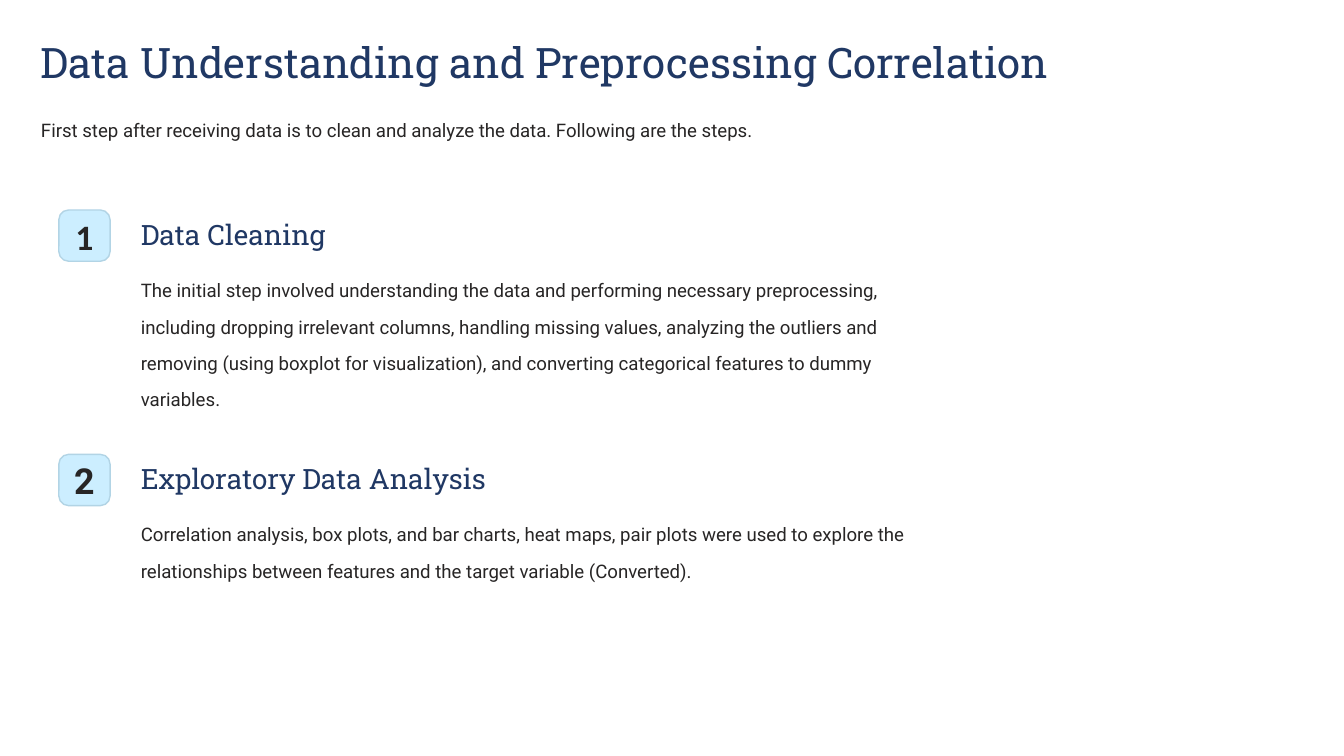
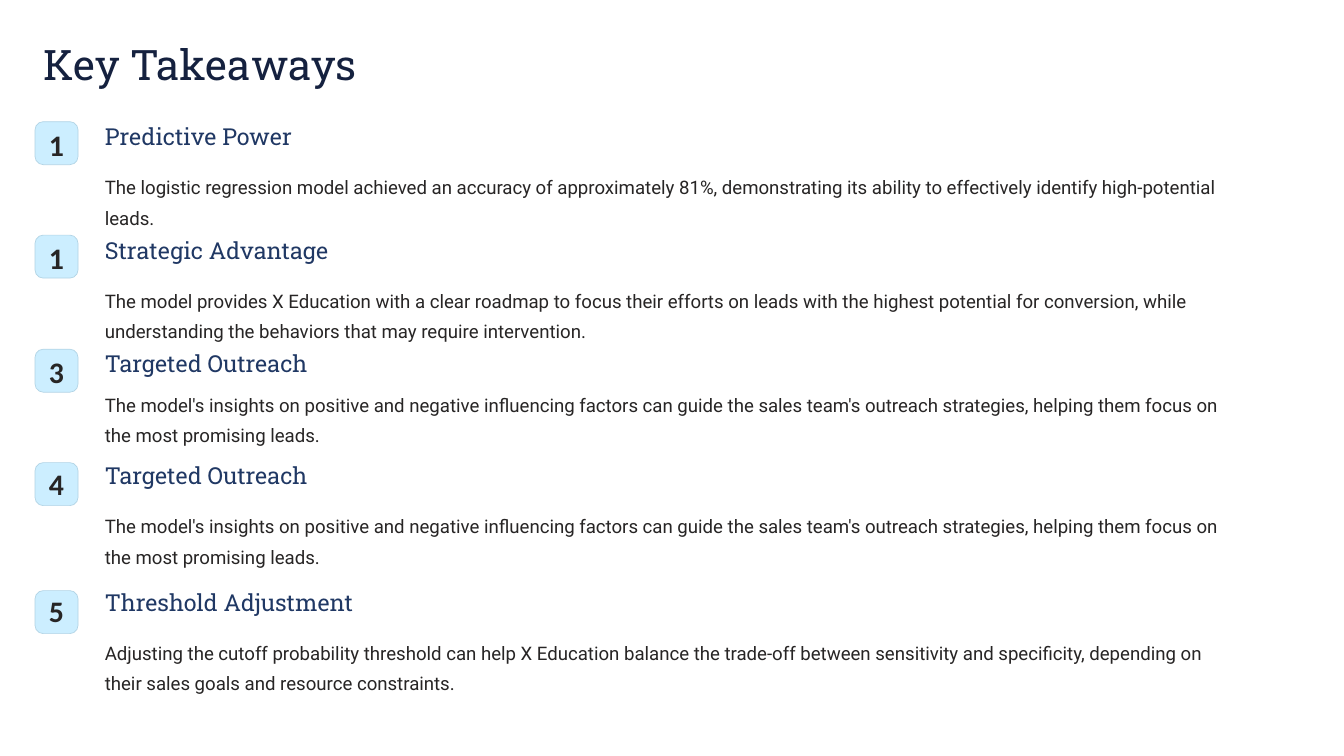
import pptx
import pptx.util
import pptx.dml.color
import pptx.enum.shapes
import pptx.enum.text
from dataclasses import dataclass

Cm, Pt = pptx.util.Cm, pptx.util.Pt
ALIGN = pptx.enum.text.PP_ALIGN


# Theme
@dataclass(frozen=True)
class Theme:
    navy: str = "203864"
    dark: str = "15213F"
    ink: str = "272525"
    pale: str = "CCEEFF"
    edge: str = "B2D4E5"
    slab: str = "Roboto Slab"
    sans: str = "Roboto"
    digit: str = "Calibri"
    title: float = 36
    body: float = 16


LOOK = Theme()

# Content: step rows are (number, number font, heading, text) and
# (badge top, number top, heading top, text top, text height) in cm
CLEAN = [
    ("1", LOOK.digit, "Data Cleaning",
     "The initial step involved understanding the data and performing necessary "
     "preprocessing, including dropping irrelevant columns, handling missing values, "
     "analyzing the outliers and removing (using boxplot for visualization), and "
     "converting categorical features to dummy variables.",
     (6.35, 6.58, 6.35, 7.9, 4.39)),
    ("2", LOOK.sans, "Exploratory Data Analysis",
     "Correlation analysis, box plots, and bar charts, heat maps, pair plots were used "
     "to explore the relationships between features and the target variable (Converted).",
     (13.74, 13.97, 13.73, 15.28, 3.3)),
]
REACH = ("The model's insights on positive and negative influencing factors can guide "
         "the sales team's outreach strategies, helping them focus on the most "
         "promising leads.")
POINTS = [
    ("1", LOOK.digit, "Predictive Power",
     "The logistic regression model achieved an accuracy of approximately 81%, "
     "demonstrating its ability to effectively identify high-potential leads.",
     (3.68, 3.89, 3.68, 4.97, 1.83)),
    ("1", LOOK.digit, "Strategic Advantage",
     "The model provides X Education with a clear roadmap to focus their efforts on "
     "leads with the highest potential for conversion, while understanding the "
     "behaviors that may require intervention.",
     (7.11, 7.32, 7.11, 8.41, 1.83)),
    ("3", LOOK.digit, "Targeted Outreach", REACH, (10.56, 10.74, 10.55, 11.55, 2.74)),
    ("4", LOOK.digit, "Targeted Outreach", REACH, (13.99, 14.13, 13.94, 15.22, 2.74)),
    ("5", LOOK.digit, "Threshold Adjustment",
     "Adjusting the cutoff probability threshold can help X Education balance the "
     "trade-off between sensitivity and specificity, depending on their sales goals "
     "and resource constraints.",
     (17.86, 17.97, 17.78, 19.05, 2.74)),
]
SLIDES = [
    dict(title="Data Understanding and Preprocessing Correlation", tint=LOOK.navy,
         box=(0.98, 0.25, 32.08, 1.78), lead=63.8, steps=CLEAN,
         intro="First step after receiving data is to clean and analyze the data. "
               "Following are the steps.",
         grid=dict(left=1.78, side=1.55, line=1.2, num=30.6, tall=1.09,
                   text=4.01, wide=25, span=12, head=24, pitch=31.9, lead=31.1)),
    dict(title="Key Takeaways", tint=LOOK.dark,
         box=(1.07, 0.42, 15.01, 1.88), lead=60.9, steps=POINTS, intro=None,
         grid=dict(left=1.06, side=1.3, line=0.6, num=25.5, tall=0.89,
                   text=2.92, wide=34.75, span=9, head=20, pitch=21, lead=25.9)),
]


def paint(tint):
    return pptx.dml.color.RGBColor.from_string(tint)


# Text
def write(shape, text, size, font, tint, lead, bold=False, align=ALIGN.LEFT, wrap=True):
    frame = shape.text_frame
    frame.text = text
    frame.word_wrap = wrap
    frame.auto_size = pptx.enum.text.MSO_AUTO_SIZE.NONE
    frame.vertical_anchor = pptx.enum.text.MSO_ANCHOR.TOP
    para = frame.paragraphs[0]
    para.alignment = align
    para.line_spacing = Pt(lead)
    face = para.runs[0].font
    face.size, face.name, face.bold = Pt(size), font, bold
    face.color.rgb = paint(tint)


def label(slide, box, *args, **more):
    write(slide.shapes.add_textbox(*map(Cm, box)), *args, **more)


# Numbered step: badge, number, heading and text
def step(slide, grid, row):
    num, font, head, text, (top, mid, high, low, tall) = row
    left, side = grid["left"], grid["side"]
    badge = slide.shapes.add_shape(
        pptx.enum.shapes.MSO_SHAPE.ROUNDED_RECTANGLE,
        Cm(left), Cm(top), Cm(side), Cm(side))
    badge.adjustments[0] = 0.19
    badge.shadow.inherit = False
    badge.fill.solid()
    badge.fill.fore_color.rgb = paint(LOOK.pale)
    badge.line.color.rgb = paint(LOOK.edge)
    badge.line.width = Pt(grid["line"])

    thin = 0.5
    label(slide, (left + (side - thin) / 2, mid, thin, grid["tall"]), num, grid["num"],
          font, LOOK.ink, grid["num"], bold=True, align=ALIGN.CENTER, wrap=False)
    label(slide, (grid["text"], high, grid["span"], 1), head,
          grid["head"], LOOK.slab, LOOK.navy, grid["pitch"])
    label(slide, (grid["text"], low, grid["wide"], tall), text,
          LOOK.body, LOOK.sans, LOOK.ink, grid["lead"])


def build(deck, page):
    slide = deck.slides.add_slide(deck.slide_layouts[5])
    title = slide.shapes.title
    title.left, title.top, title.width, title.height = map(Cm, page["box"])
    write(title, page["title"], LOOK.title, LOOK.slab, page["tint"], page["lead"])
    for row in page["steps"]:
        step(slide, page["grid"], row)
    if page["intro"]:
        label(slide, (0.99, 3.05, 28.5, 2.06), page["intro"],
              LOOK.body, LOOK.sans, LOOK.ink, page["grid"]["lead"])


def main():
    deck = pptx.Presentation()
    deck.slide_width, deck.slide_height = Cm(40.64), Cm(22.86)
    for page in SLIDES:
        build(deck, page)
    deck.save("out.pptx")


if __name__ == "__main__":
    main()
